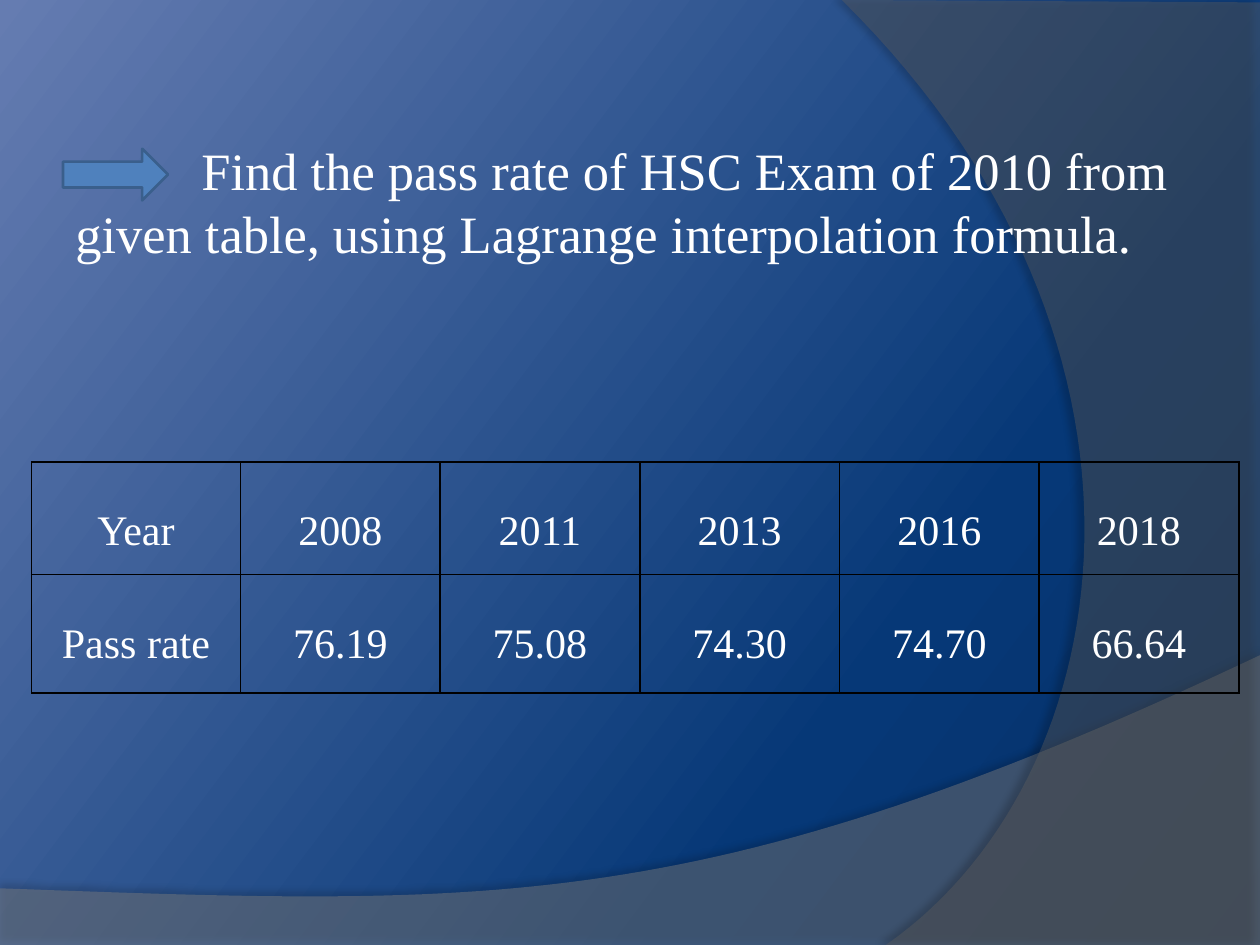
from lxml.etree import SubElement
from pptx import Presentation
from pptx.dml.color import RGBColor
from pptx.enum.shapes import MSO_SHAPE
from pptx.enum.text import MSO_ANCHOR, PP_ALIGN
from pptx.oxml import parse_xml
from pptx.oxml.ns import nsdecls, qn
from pptx.util import Pt

COLORS = {
    "navy": "052F64", "blue": "063877", "haze": "657CB1",
    "wave": "7F7F7F", "arc": "5E5E5E",
    "arrow": "4F81BD", "arrow_line": "3A5F8C",
    "text": "FFFFFF", "border": "000000", "shadow": "000000",
}
FONT = "Times New Roman"
QUESTION = ("\tFind the pass rate of HSC Exam of 2010 from given table, "
            "using Lagrange interpolation formula.")
ROWS = [
    ["Year", "2008", "2011", "2013", "2016", "2018"],
    ["Pass rate", "76.19", "75.08", "74.30", "74.70", "66.64"],
]


def color(name):
    return RGBColor.from_string(COLORS[name])


def add_run(paragraph, text, size):
    run = paragraph.add_run()
    run.text = text
    run.font.name = FONT
    run.font.size = Pt(size)
    run.font.bold = False
    run.font.color.rgb = color("text")


def add_background(slide):
    fill = slide.background.fill
    fill.gradient()
    fill.gradient_angle = 143
    stops = slide.element.find(".//" + qn("a:gsLst"))
    for stop in list(stops):
        stops.remove(stop)
    for position, name in ((0, "navy"), (30, "blue"), (100, "haze")):
        stop = SubElement(stops, qn("a:gs"), pos=str(position * 1000))
        SubElement(stop, qn("a:srgbClr"), val=COLORS[name])


def curve_points(start, control_1, control_2, end, steps=60):
    """Points along a cubic curve, start left out."""
    points = []
    for step in range(1, steps + 1):
        t = step / steps
        weights = ((1 - t) ** 3, 3 * t * (1 - t) ** 2, 3 * t * t * (1 - t), t ** 3)
        points.append(tuple(
            sum(weight * point[axis] for weight, point
                in zip(weights, (start, control_1, control_2, end)))
            for axis in (0, 1)))
    return points


def add_swoosh(slide, left, top, corners, curve, name, opacity, shadow):
    """Outline of straight corners, closed by a curve from the last corner."""
    points = [(left + x, top + y)
              for x, y in corners + curve_points(corners[-1], *curve)]
    points = [(Pt(x), Pt(y)) for x, y in points]
    builder = slide.shapes.build_freeform(*points[0])
    builder.add_line_segments(points[1:], close=True)
    shape = builder.convert_to_shape()
    shape.fill.solid()
    shape.fill.fore_color.rgb = color(name)
    shape.line.fill.background()
    properties = shape.element.spPr
    solid_color = properties.find(qn("a:solidFill")).find(qn("a:srgbClr"))
    SubElement(solid_color, qn("a:alpha"), val=str(opacity * 1000))
    shadow_opacity, distance, direction = shadow
    properties.append(parse_xml(
        f'<a:effectLst {nsdecls("a")}><a:outerShdw blurRad="{Pt(4)}" '
        f'dist="{Pt(distance)}" dir="{direction * 60000}" algn="ctr" rotWithShape="0">'
        f'<a:srgbClr val="{COLORS["shadow"]}"><a:alpha val="{shadow_opacity * 1000}"/>'
        '</a:srgbClr></a:outerShdw></a:effectLst>'))


def add_question(slide, left, top, width, height):
    # Question text, its first line indented by a tab stop
    box = slide.shapes.add_textbox(Pt(left), Pt(top), Pt(width), Pt(height))
    frame = box.text_frame
    frame.word_wrap = True
    frame.vertical_anchor = MSO_ANCHOR.MIDDLE
    frame.margin_bottom = Pt(24.3)
    paragraph = frame.paragraphs[0]
    tab_stops = SubElement(paragraph._p.get_or_add_pPr(), qn("a:tabLst"))
    SubElement(tab_stops, qn("a:tab"), pos=str(Pt(72)), algn="l")
    add_run(paragraph, QUESTION, 30)

    # Arrow in front of the first line
    arrow = slide.shapes.add_shape(
        MSO_SHAPE.RIGHT_ARROW, Pt(left), Pt(top + 10.8), Pt(60), Pt(29.5))
    arrow.shadow.inherit = False
    arrow.fill.solid()
    arrow.fill.fore_color.rgb = color("arrow")
    arrow.line.color.rgb = color("arrow_line")
    arrow.line.width = Pt(1.5)


def set_borders(cell):
    properties = cell._tc.get_or_add_tcPr()
    for index, side in enumerate(("lnL", "lnR", "lnT", "lnB")):
        properties.insert(index, parse_xml(
            f'<a:{side} {nsdecls("a")} w="{Pt(1)}"><a:solidFill>'
            f'<a:srgbClr val="{COLORS["border"]}"/></a:solidFill></a:{side}>'))


def add_rate_table(slide, left, top, width, heights, first_width):
    count = len(ROWS[0])
    table = slide.shapes.add_table(
        len(ROWS), count, Pt(left), Pt(top), Pt(width), Pt(sum(heights))).table
    table.first_row = False
    table.horz_banding = False
    for index, column in enumerate(table.columns):
        column.width = Pt((width - first_width) / (count - 1) if index else first_width)
    for row, height, values in zip(table.rows, heights, ROWS):
        row.height = Pt(height)
        for cell, value in zip(row.cells, values):
            cell.fill.background()
            set_borders(cell)
            cell.margin_left = cell.margin_right = Pt(5)
            cell.margin_top = cell.margin_bottom = 0
            paragraph = cell.text_frame.paragraphs[0]
            paragraph.alignment = PP_ALIGN.CENTER
            paragraph.line_spacing = 2.0
            add_run(paragraph, value, 24)


def main():
    presentation = Presentation()
    presentation.slide_width, presentation.slide_height = Pt(720), Pt(540)
    slide = presentation.slides.add_slide(presentation.slide_layouts[6])

    # Backdrop: gradient, bottom wave, right arc
    add_background(slide)
    add_swoosh(slide, 0, 374.4, [(0, 133.2), (0, 166.3), (720, 166.3), (720, 0)],
               [(402.5, 150.5), (281.5, 143.3), (0, 133.2)],
               "wave", 45, (35, 3.5, 270))
    add_swoosh(slide, 481, 0, [(239, 1.4), (239, 540), (25.2, 540)],
               [(160.5, 445.7), (200.8, 198), (0, 0)],
               "arc", 40, (45, 4, 180))

    # Content
    add_question(slide, 36, 74.2, 653.8, 101.5)
    add_rate_table(slide, 18, 264, 690, (64.2, 67.8), 119.4)
    presentation.save("out.pptx")


if __name__ == "__main__":
    main()
